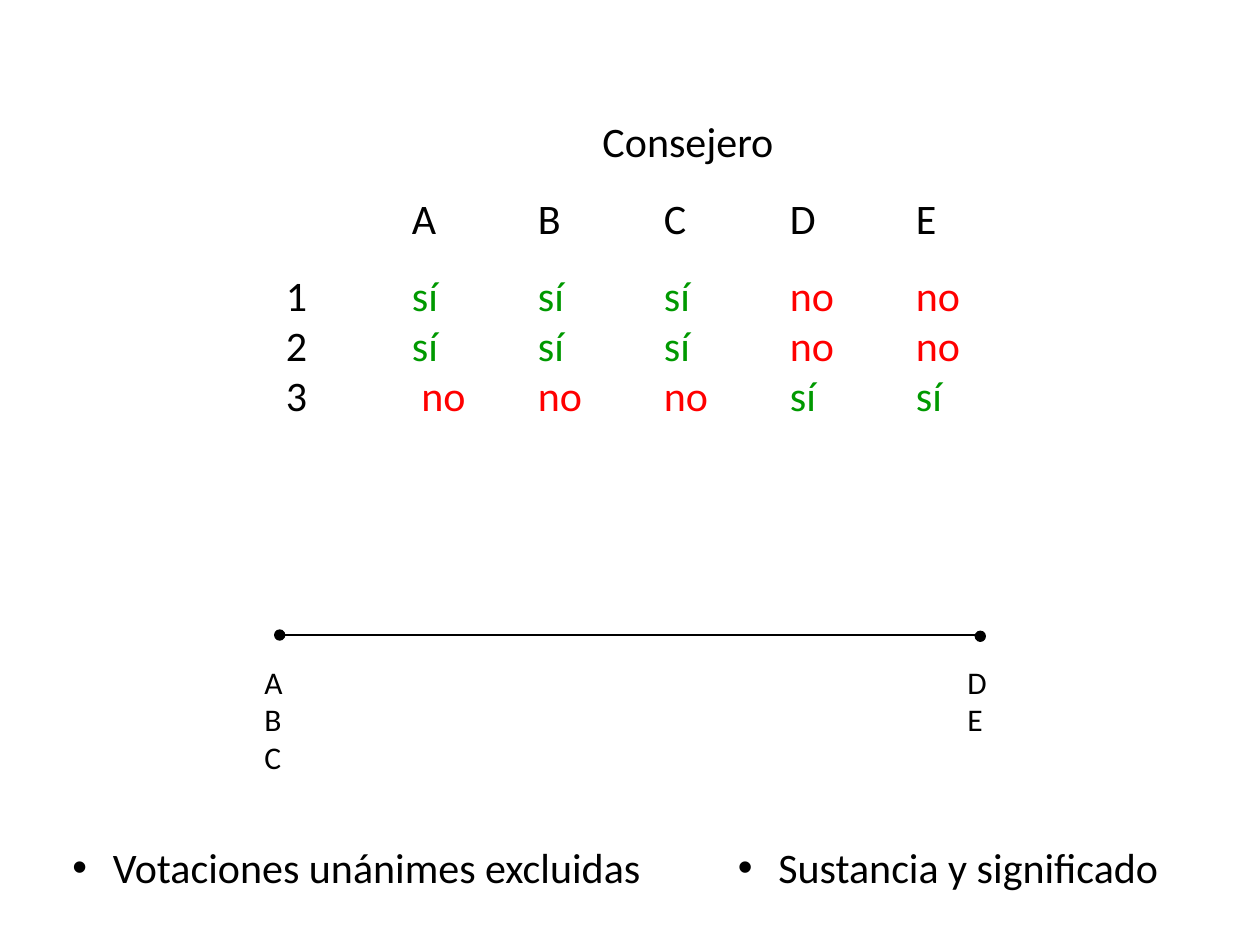
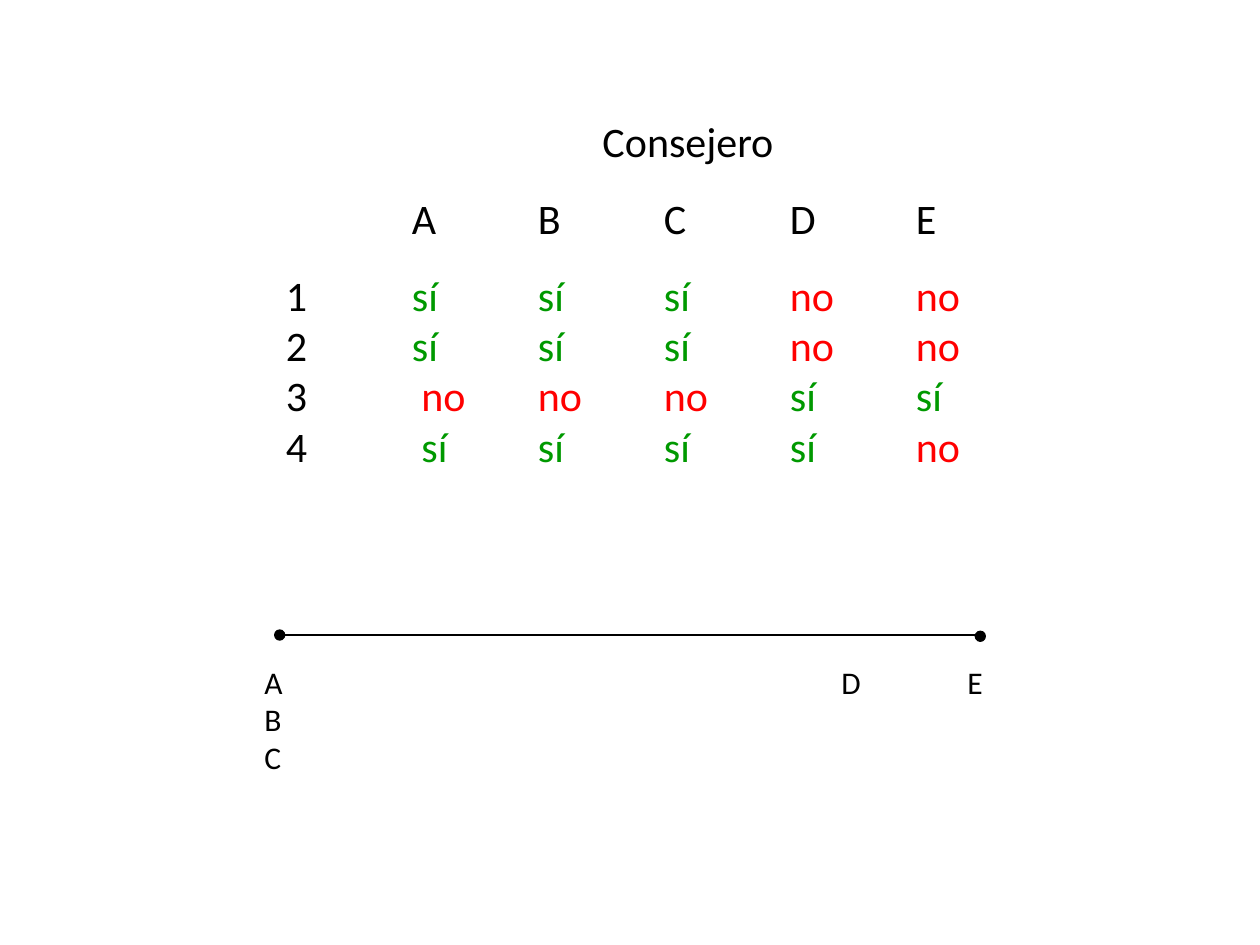
from lxml.etree import SubElement
from pptx import Presentation
from pptx.dml.color import RGBColor
from pptx.enum.shapes import MSO_CONNECTOR as Connector, MSO_SHAPE as Shape
from pptx.enum.text import MSO_AUTO_SIZE as AutoSize, PP_ALIGN as Align
from pptx.oxml.ns import qn
from pptx.util import Inches, Pt


def color(value):
    return RGBColor.from_string(value)


def write(para, text, size=24, fill="000000", font="Calibri"):
    """Add text to a paragraph; each newline becomes a line break."""
    for index, line in enumerate(text.split("\n")):
        if index:
            para.add_line_break()
        if line:
            span = para.add_run()
            span.text = line
            span.font.name = font
            span.font.size = Pt(size)
            span.font.color.rgb = color(fill)


class Painter:
    """Holds the shared style and the slide being drawn."""

    ink = "000000"
    vote_colors = {"sí": "009900", "no": "FF0000"}
    councillors = "ABCDE"
    label_size = 18
    bullet_indent = 0.32

    def __init__(self):
        self.deck = Presentation()
        self.deck.slide_width = Inches(10)
        self.deck.slide_height = Inches(7.5)
        self.slide = None

    def new_slide(self):
        self.slide = self.deck.slides.add_slide(self.deck.slide_layouts[6])

    def text_box(self, left, top, width, height):
        box = self.slide.shapes.add_textbox(
            Inches(left), Inches(top), Inches(width), Inches(height))
        box.text_frame.word_wrap = True
        box.text_frame.auto_size = AutoSize.SHAPE_TO_FIT_TEXT
        return box.text_frame

    def tab_stops(self, para):
        stops = SubElement(para._p.get_or_add_pPr(), qn("a:tabLst"))
        for inch in range(1, 8):
            SubElement(stops, qn("a:tab"), pos=str(Inches(inch)), algn="l")

    def vote_grid(self, ballots):
        frame = self.text_box(2.17, 0.87, 5.58, 1.32 + 0.4 * len(ballots))
        heading, names, votes = (
            frame.paragraphs[0], frame.add_paragraph(), frame.add_paragraph())
        for para in (heading, names, votes):
            self.tab_stops(para)
        names.space_before = votes.space_before = Pt(15)
        heading.alignment = Align.CENTER
        write(heading, "\tConsejero")
        write(names, "\t" + "\t".join(self.councillors))
        for number, ballot in enumerate(ballots, start=1):
            # From the third ballot on, the first vote is set one space in
            gap = "\t " if number > 2 else "\t"
            write(votes, f"\n{number}" if number > 1 else "1")
            for vote in ballot.split():
                write(votes, gap + vote, fill=self.vote_colors[vote])
                gap = "\t"

    def dot(self, left, top, size=0.08):
        dot = self.slide.shapes.add_shape(
            Shape.OVAL, Inches(left), Inches(top), Inches(size), Inches(size))
        dot.shadow.inherit = False
        dot.fill.solid()
        dot.fill.fore_color.rgb = color(self.ink)
        dot.line.color.rgb = color(self.ink)
        dot.line.width = Pt(0.75)

    def line(self, left, right, height):
        line = self.slide.shapes.add_connector(
            Connector.STRAIGHT, Inches(left), Inches(height),
            Inches(right), Inches(height))
        line.line.color.rgb = color(self.ink)
        line.line.width = Pt(0.75)
        SubElement(line._element.spPr, qn("a:effectLst"))

    def scale(self, positions):
        """Draw the axis, with the councillors' names below it."""
        self.line(2.25, 7.75, 5.04)
        self.dot(2.18, 5)
        self.dot(7.74, 5.01)
        for left, names in positions.items():
            frame = self.text_box(left, 5.21, 0.67, 0.1 + 0.3 * len(names))
            write(frame.paragraphs[0], "\n".join(names), size=self.label_size)

    def bullet(self, text, left, width):
        para = self.text_box(left, 6.63, width, 0.5).paragraphs[0]
        para.alignment = Align.CENTER
        properties = para._p.get_or_add_pPr()
        properties.set("marL", str(Inches(self.bullet_indent)))
        properties.set("indent", str(-Inches(self.bullet_indent)))
        SubElement(properties, qn("a:buFont"), typeface="Arial")
        SubElement(properties, qn("a:buChar"), char="•")
        write(para, text)


def main():
    painter = Painter()
    ballots = ["sí sí sí no no", "sí sí sí no no", "no no no sí sí"]

    # Three ballots: two opposed blocs
    painter.new_slide()
    painter.vote_grid(ballots)
    painter.scale({2: "ABC", 7.58: "DE"})
    painter.bullet("Votaciones unánimes excluidas", 0.43, 4.8)
    painter.bullet("Sustancia y significado", 5.24, 4.57)

    # A fourth ballot separates D from E
    painter.new_slide()
    painter.vote_grid(ballots + ["sí sí sí sí no"])
    painter.scale({2: "ABC", 7.58: "E", 6.58: "D"})

    painter.deck.save("out.pptx")


if __name__ == "__main__":
    main()
